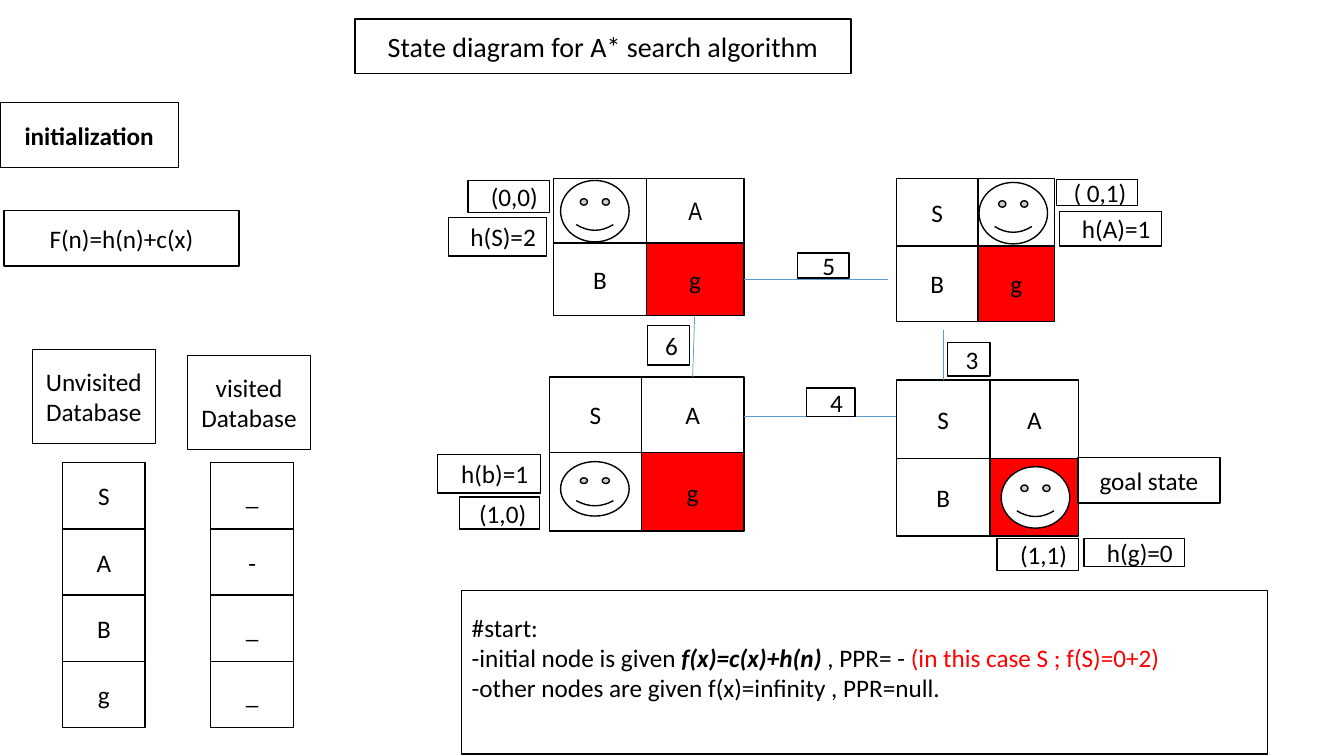
from lxml import etree
from pptx import Presentation
from pptx.dml.color import RGBColor
from pptx.enum.shapes import MSO_CONNECTOR, MSO_SHAPE
from pptx.enum.text import MSO_ANCHOR, PP_ALIGN
from pptx.oxml.ns import qn
from pptx.util import Inches, Pt

RECT, SMILE = MSO_SHAPE.RECTANGLE, MSO_SHAPE.SMILEY_FACE
STRAIGHT = MSO_CONNECTOR.STRAIGHT
MIDDLE = MSO_ANCHOR.MIDDLE
LEFT, CENTER = PP_ALIGN.LEFT, PP_ALIGN.CENTER

# The slide is a grid of 133.3 columns by 75 rows
UNIT = 0.1
COLS, ROWS = 133.3, 75
BLACK, WHITE, RED, BLUE = "000000", "FFFFFF", "FF0000", "5B9BD5"
BASE = {"name": "Calibri", "size": Pt(18), "bold": False, "italic": False}
NODES = "SABg"

# Column edges, row edges, index of the cell with the face, face box
BOARDS = [
    ((54.9, 64.1, 73.8), (17.7, 24.1, 31.3), 0, (55.6, 17.9, 6.8, 6.1)),
    ((88.9, 97, 104.6), (17.7, 24.4, 31.9), 1, (97.1, 18.1, 6.8, 6.1)),
    ((54.5, 63.6, 73.8), (37.4, 44.9, 52.7), 2, (55.6, 45.8, 6.8, 5.4)),
    ((88.9, 98.2, 107), (37.7, 45.5, 53.2), 3, (99.3, 46.3, 6.8, 6.1)),
]
EDGES = [
    (73.8, 27.7, 88.1, 27.7),
    (68.9, 31.3, 68.7, 37.4),
    (73.8, 41.3, 88.9, 41.3),
    (93.6, 32.7, 93.6, 37.7),
]
# Text, box, extra left inset
LABELS = [
    ("5", (79.1, 25.1, 5.1, 2.5), 1.1),
    ("6", (64.2, 32.3, 4.2, 3.9), 0.6),
    ("4", (80, 38.5, 4.8, 2.8), 1.1),
    ("3", (94, 34, 4.2, 3.3), 0.6),
    ("goal state", (106.9, 45.4, 14.1, 4.5), 0),
    ("(0,0)", (46.4, 17.9, 8.1, 3.2), 1.1),
    ("( 0,1)", (104.8, 17.8, 8, 2.6), 0.6),
    ("(1,0)", (45.6, 49.3, 7.9, 3.2), 0.6),
    ("(1,1)", (98.9, 53.4, 8.1, 3.2), 1.1),
    ("h(S)=2", (44.5, 21.6, 9.7, 3.8), 1.1),
    ("h(A)=1", (105.1, 21, 10.1, 3.4), 1.1),
    ("h(b)=1", (43.4, 45.1, 10.2, 3.8), 1.1),
    ("h(g)=0", (107.5, 53.4, 10, 2.8), 1.1),
    ("F(n)=h(n)+c(x)", (0.4, 20.9, 23.3, 5.5), 0),
]
# Heading, heading box, left edge of the cells, cell texts
LISTS = [
    ("Unvisited Database", (3.2, 34.7, 12.2, 9.3), 6.2, NODES),
    ("visited Database", (18.6, 35.3, 12.2, 9.3), 20.9, "_-__"),
]
NOTE = [
    [("#start:", {}, BLACK)],
    [("-initial node is given ", {}, BLACK),
     ("f(x)=c(x)+h(n) ", {"bold": True, "italic": True}, BLACK),
     (", PPR= - ", {}, BLACK),
     ("(in this case S ; f(S)=0+2)", {}, RED)],
    [("-other nodes are given f(x)=infinity , PPR=null.", {}, BLACK)],
]


def grid(*cells):
    return [Inches(UNIT * cell) for cell in cells]


def color(hex_code):
    return RGBColor.from_string(hex_code)


def apply(target, style):
    for key, value in style.items():
        setattr(target, key, value)


def add_form(slide, kind, box, fill=WHITE):
    form = slide.shapes.add_shape(kind, *grid(*box))
    form.shadow.inherit = False
    form.fill.solid()
    form.fill.fore_color.rgb = color(fill)
    form.line.color.rgb = color(BLACK)
    form.line.width = Pt(1)
    return form


def add_text(form, rows, align=CENTER, inset=0, below=0):
    """Fill a shape with rows of (text, style, colour) runs."""
    frame = form.text_frame
    left, foot = grid(1 + inset, 0.5 + below)
    apply(frame, {"word_wrap": True, "vertical_anchor": MIDDLE,
                  "margin_left": left, "margin_bottom": foot})
    for num, row in enumerate(rows):
        para = frame.add_paragraph() if num else frame.paragraphs[0]
        para.alignment = align
        for text, style, shade in row:
            run = para.add_run()
            run.text = text
            apply(run.font, BASE | style)
            run.font.color.rgb = color(shade)


def add_box(slide, text, box, inset=0, fill=WHITE, **style):
    form = add_form(slide, RECT, box, fill)
    if text:
        add_text(form, [[(text, style, BLACK)]], inset=inset)


def add_edge(slide, ends):
    edge = slide.shapes.add_connector(STRAIGHT, *grid(*ends))
    edge.line.color.rgb = color(BLUE)
    edge.line.width = Pt(0.5)
    etree.SubElement(edge._element.spPr, qn("a:effectLst"))


def add_board(slide, xs, ys, spot, face):
    """Draw a two by two state with a face in the cell at spot."""
    for num, node in enumerate(NODES):
        row, col = divmod(num, 2)
        box = (xs[col], ys[row], xs[col + 1] - xs[col], ys[row + 1] - ys[row])
        style = {"name": "Arial Narrow"} if (spot, node) == (0, "A") else {}
        add_box(slide, "" if num == spot else node, box,
                fill=RED if node == "g" else WHITE, **style)
    add_form(slide, SMILE, face)


def add_list(slide, head, box, left, items):
    add_box(slide, head, box)
    for num, item in enumerate(items):
        add_box(slide, item, (left, 45.9 + 6.57 * num, 8.2, 6.57))


def main():
    deck = Presentation()
    deck.slide_width, deck.slide_height = grid(COLS, ROWS)
    slide = deck.slides.add_slide(deck.slide_layouts[6])
    add_box(slide, "State diagram for A* search algorithm",
            (35.2, 1.9, 49.2, 5.4), size=Pt(20))
    add_box(slide, "initialization", (0, 10.2, 17.7, 6.4), bold=True)
    for board in BOARDS:
        add_board(slide, *board)
    for ends in EDGES:
        add_edge(slide, ends)
    for label in LABELS:
        add_box(slide, *label)
    for group in LISTS:
        add_list(slide, *group)
    note = add_form(slide, RECT, (45.8, 58.6, 79.9, 16.2))
    add_text(note, NOTE, LEFT, below=3)
    deck.save("out.pptx")


if __name__ == "__main__":
    main()
